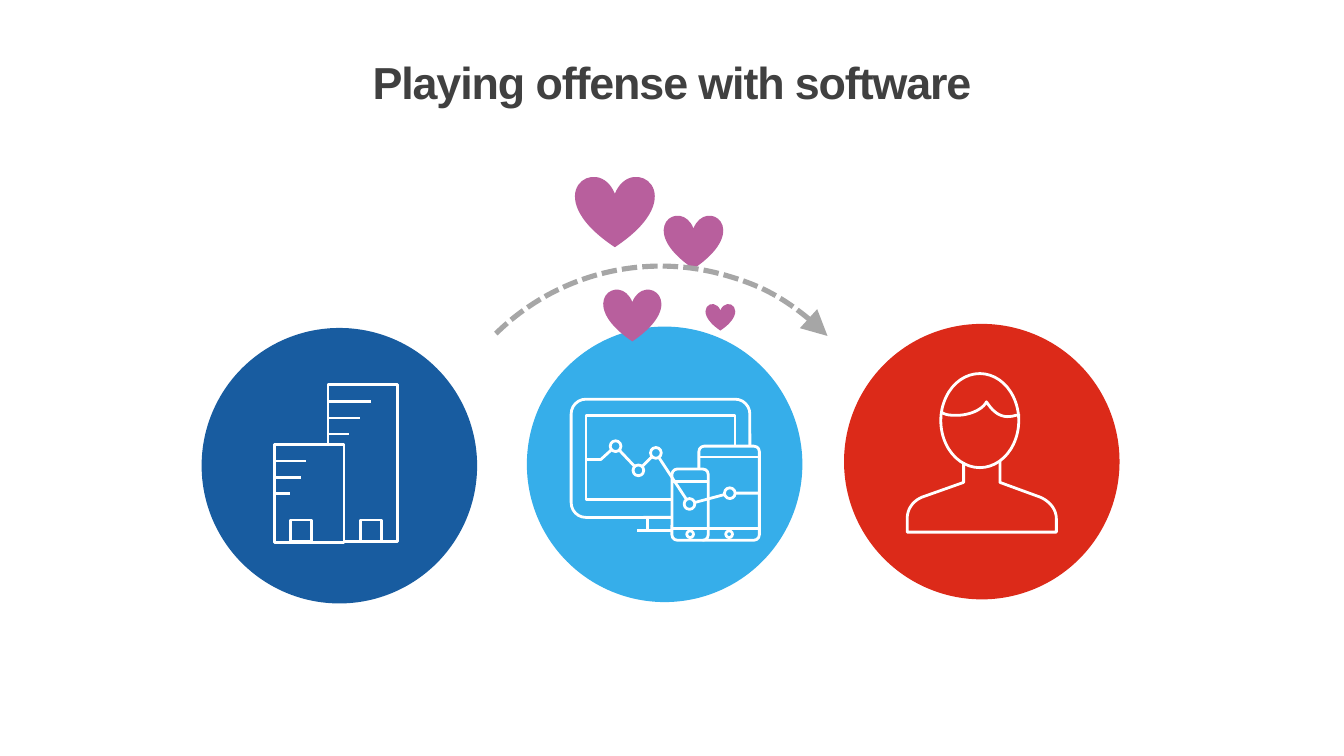
from lxml import etree
from pptx import Presentation
from pptx.dml.color import RGBColor
from pptx.enum.shapes import MSO_CONNECTOR, MSO_SHAPE
from pptx.enum.text import MSO_ANCHOR, MSO_AUTO_SIZE, PP_ALIGN
from pptx.oxml.ns import qn
from pptx.util import Pt

PX = 9144
WIDE = 1000 * PX
HIGH = WIDE * 9 // 16
RECT, ROUND = MSO_SHAPE.RECTANGLE, MSO_SHAPE.ROUNDED_RECTANGLE
OVAL, HEART, ARC = MSO_SHAPE.OVAL, MSO_SHAPE.HEART, MSO_SHAPE.ARC
STRAIGHT = MSO_CONNECTOR.STRAIGHT
CENTER, TOP = PP_ALIGN.CENTER, MSO_ANCHOR.TOP
NO_FIT = MSO_AUTO_SIZE.NONE
WHITE, NAVY, SKY, RED = "FFFFFF", "185CA0", "36AEEA", "DC2A19"
PINK, GRAY, DARK = "B85F9D", "A6A6A6", "404040"
DISC = 205


def rgb(code):
    """Return the colour for a hex string."""
    return RGBColor.from_string(code)


def style(shape, fill=None, line=WHITE, width=1.5):
    """Set fill and outline, without a shadow."""
    shape.shadow.inherit = False
    if fill:
        shape.fill.solid()
        shape.fill.fore_color.rgb = rgb(fill)
    else:
        shape.fill.background()
    if line:
        shape.line.color.rgb = rgb(line)
        shape.line.width = Pt(width)
    else:
        shape.line.fill.background()
    return shape


def add(slide, kind, org, box, fill=None, line=WHITE, width=1.5):
    """Add a preset shape at a box relative to an origin."""
    x, y, w, h = box
    sides = [round(n * PX) for n in (org[0] + x, org[1] + y, w, h)]
    return style(slide.shapes.add_shape(kind, *sides), fill, line, width)


def rule(slide, org, x, y, size):
    """Add a level white line."""
    left, top = (org[0] + x) * PX, (org[1] + y) * PX
    line = slide.shapes.add_connector(STRAIGHT, left, top, left + size * PX, top)
    line.line.color.rgb = rgb(WHITE)
    line.line.width = Pt(1.5)
    etree.SubElement(line._element.spPr, qn("a:effectLst"))


def trace(slide, org, points):
    """Add an open white outline through the points."""
    spots = [(round((org[0] + x) * PX), round((org[1] + y) * PX)) for x, y in points]
    pen = slide.shapes.build_freeform(*spots[0])
    pen.add_line_segments(spots[1:], close=False)
    style(pen.convert_to_shape())


def curve(*ends, steps=12):
    """Return points along a cubic curve with four control points."""
    def mix(t, a, b, c, d):
        s = 1 - t
        return s**3 * a + 3 * s * s * t * b + 3 * s * t * t * c + t**3 * d
    return [tuple(mix(i / steps, *axis) for axis in zip(*ends))
            for i in range(steps + 1)]


def disc(slide, org, fill):
    """Draw the coloured circle behind an icon."""
    add(slide, OVAL, org, (0, 0, DISC, DISC), fill, None)


def person(slide, org):
    """Draw the customer icon."""
    disc(slide, org, RED)
    left = curve((58, 129), (51, 132), (47, 138), (47, 145))
    right = curve((158, 145), (158, 138), (153, 132), (146, 129))
    trace(slide, org, [(89, 103), (89, 118), *left, (47, 155), (158, 155),
                       *right, (116, 118), (116, 102)])
    add(slide, OVAL, org, (72, 37, 58, 70))
    trace(slide, org, [(131, 68)]
          + curve((128, 68), (118, 71), (112, 67), (106, 58))
          + curve((106, 58), (103, 64), (93, 68), (84, 68))
          + curve((84, 68), (80, 68), (76, 68), (73, 66)))


def office(slide, org):
    """Draw the company icon."""
    disc(slide, org, NAVY)
    add(slide, RECT, org, (54, 87, 52, 73))
    trace(slide, org, [(94, 87), (94, 42), (146, 42), (146, 159), (106, 159)])
    for x in (66, 118):
        add(slide, RECT, org, (x, 143, 16, 16))
    for x, y, sizes in ((54, 99, (24, 20, 12)), (94, 55, (32, 24, 16))):
        for row, size in enumerate(sizes):
            rule(slide, org, x, y + 12 * row, size)


def panel(slide, org, box, arc):
    """Draw a rounded device body with a corner radius."""
    body = add(slide, ROUND, org, box, SKY)
    body.adjustments[0] = arc / min(box[2:])


def mobile(slide, org, box, head):
    """Draw a phone or tablet with a top bar and a button."""
    x, y, w, h = box
    panel(slide, org, box, 4)
    add(slide, OVAL, org, (x + w / 2 - 2.5, y + h - 7, 5, 5), SKY)
    for bar in (y + head, y + h - 9):
        rule(slide, org, x, bar, w)


def screens(slide, org):
    """Draw the software icon."""
    disc(slide, org, SKY)
    panel(slide, org, (33, 54, 133, 88), 11)
    add(slide, RECT, org, (44, 66, 111, 63), SKY)
    add(slide, RECT, org, (90, 142, 18, 10), SKY)
    rule(slide, org, 82, 152, 35)
    mobile(slide, org, (128, 89, 45, 70), 8)
    mobile(slide, org, (108, 106, 27, 53), 9)
    trend = [(44, 99), (55, 99), (66, 89), (83, 107), (96, 94), (121, 132),
             (151, 124), (172, 124)]
    trace(slide, org, trend)
    for x, y in trend[2:7]:
        add(slide, OVAL, org, (x - 4, y - 4, 8, 8), SKY)


def love(slide, org):
    """Draw the hearts and the dashed arrow over them."""
    for box in ((132, 17, 43, 39), (177, -38, 44, 40),
                (208, 28, 22, 20), (111, -67, 59, 53)):
        add(slide, HEART, org, box, PINK, None)
    arrow = add(slide, ARC, org, (0, 0, 349, 349), None, GRAY, 2.75)
    arrow.rotation = 315.4
    line = arrow.line._get_or_add_ln()
    etree.SubElement(line, qn("a:prstDash"), val="sysDash")
    etree.SubElement(line, qn("a:tailEnd"), type="triangle", w="lg", len="lg")


def title(slide, box, text):
    """Place and format the title."""
    shape = slide.shapes.title
    shape.left, shape.top, shape.width, shape.height = [n * PX for n in box]
    frame = shape.text_frame
    frame.auto_size, frame.vertical_anchor = NO_FIT, TOP
    frame.word_wrap = True
    para = frame.paragraphs[0]
    para.alignment, para.line_spacing = CENTER, 0.9
    para.space_before = Pt(0)
    run = para.add_run()
    run.text = text
    run.font.name, run.font.size, run.font.bold = "Arial", Pt(24), True
    run.font.color.rgb = rgb(DARK)
    run._r.get_or_add_rPr().set("spc", "-60")


def main():
    """Build and save the slide."""
    deck = Presentation()
    deck.slide_width, deck.slide_height = WIDE, HIGH
    slide = deck.slides.add_slide(deck.slide_layouts[5])
    title(slide, (41, 40, 918, 52), "Playing offense with software")
    person(slide, (628, 241))
    office(slide, (150, 244))
    screens(slide, (392, 243))
    love(slide, (317, 198))
    deck.save("out.pptx")


if __name__ == "__main__":
    main()
